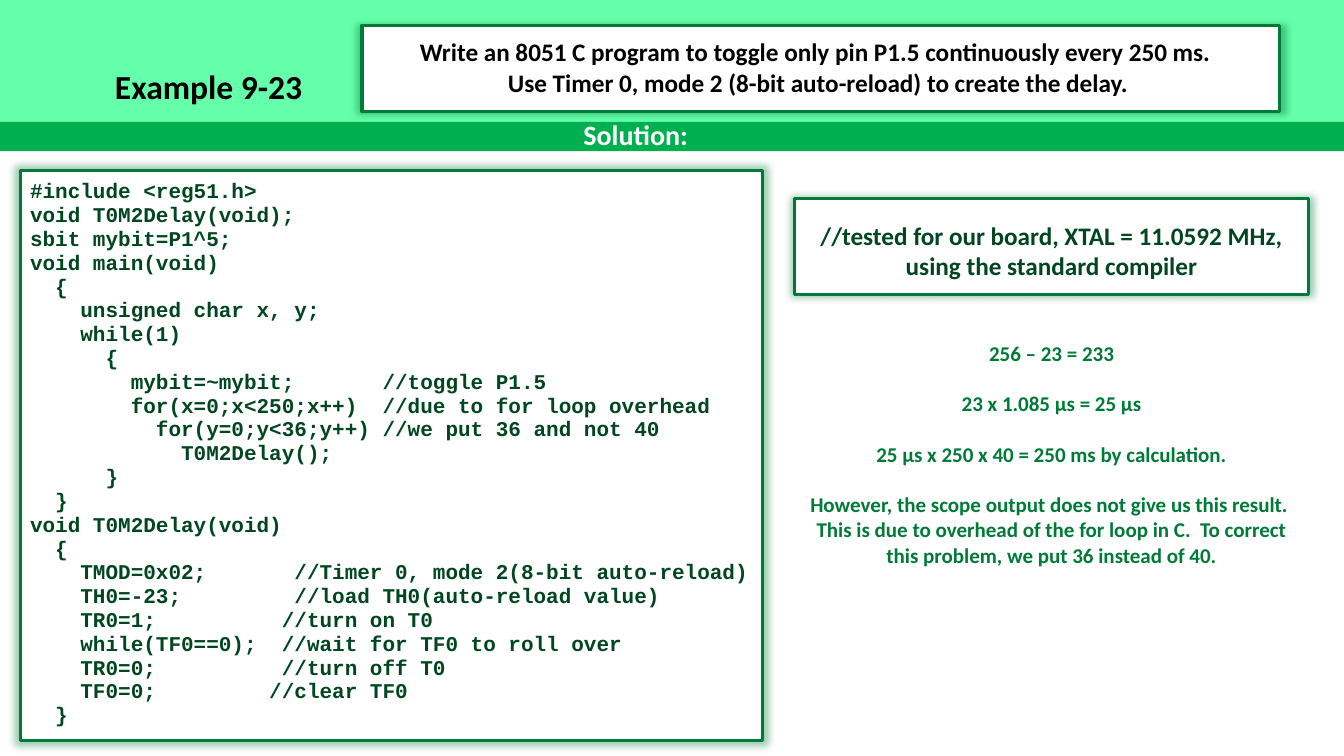
from lxml.etree import SubElement
from pptx import Presentation
from pptx.dml.color import RGBColor
from pptx.enum.shapes import MSO_SHAPE as Shape
from pptx.enum.text import MSO_ANCHOR as Anchor, PP_ALIGN as Align
from pptx.oxml.ns import qn
from pptx.util import Inches, Pt

MINT = RGBColor(0x65, 0xFF, 0xAB)
GREEN = RGBColor(0x00, 0xB0, 0x50)
FOREST = RGBColor(0x00, 0x7A, 0x37)
DARK = RGBColor(0x00, 0x46, 0x20)
BLACK = RGBColor(0, 0, 0)
WHITE = RGBColor(0xFF, 0xFF, 0xFF)

TASK = ("Write an 8051 C program to toggle only pin P1.5 continuously every 250 ms.  "
        "Use Timer 0, mode 2 (8-bit auto-reload) to create the delay.")
TESTED = "//tested for our board, XTAL = 11.0592 MHz, using the standard compiler"
CALCULATION = [
    "256 – 23 = 233",
    "23 x 1.085 µs = 25 µs",
    "25 µs x 250 x 40 = 250 ms by calculation.",
    "However, the scope output does not give us this result.  This is due to overhead "
    "of the for loop in C.  To correct this problem, we put 36 instead of 40.",
]
CODE = """\
#include <reg51.h>
void T0M2Delay(void);
sbit mybit=P1^5;
void main(void)
  {
    unsigned char x, y;
    while(1)
      {
        mybit=~mybit;       //toggle P1.5
        for(x=0;x<250;x++)  //due to for loop overhead
          for(y=0;y<36;y++) //we put 36 and not 40
            T0M2Delay();
      }
  }
void T0M2Delay(void)
  {
    TMOD=0x02;       //Timer 0, mode 2(8-bit auto-reload)
    TH0=-23;         //load TH0(auto-reload value)
    TR0=1;          //turn on T0
    while(TF0==0);  //wait for TF0 to roll over
    TR0=0;          //turn off T0
    TF0=0;         //clear TF0
  }"""


def write(holder, lines, size, color, font="Calibri", align=Align.CENTER,
          anchor=Anchor.MIDDLE, margins=(0.1, 0.05, 0.1, 0.05), spacing=None, gap=0):
    frame = holder.text_frame
    left, top, right, bottom = map(Inches, margins)
    layout = {"word_wrap": True, "vertical_anchor": anchor, "margin_left": left,
              "margin_top": top, "margin_right": right, "margin_bottom": bottom}
    for name, value in layout.items():
        setattr(frame, name, value)
    for index, line in enumerate(lines):
        paragraph = frame.add_paragraph() if index else frame.paragraphs[0]
        paragraph.text = line
        paragraph.alignment = align
        paragraph.space_before = Pt(gap if index else 0)
        if spacing:
            paragraph.line_spacing = Pt(spacing)
        for name, value in {"name": font, "size": Pt(size), "bold": True}.items():
            setattr(paragraph.font, name, value)
        paragraph.font.color.rgb = color


def add_band(slide, box, fill):
    band = slide.shapes.add_shape(Shape.RECTANGLE, *map(Inches, box))
    band.shadow.inherit = False
    band.fill.solid()
    band.fill.fore_color.rgb = fill
    band.line.fill.background()
    return band


def add_panel(slide, box):
    """White panel with a green outline and a soft green glow."""
    panel = add_band(slide, box, WHITE)
    panel.line.color.rgb = FOREST
    panel.line.width = Pt(2.25)
    effects = panel._element.spPr.find(qn("a:effectLst"))
    shadow = SubElement(effects, qn("a:outerShdw"), blurRad=str(Pt(5)), dist="0",
                        dir="0", sx="101000", sy="101000", algn="ctr", rotWithShape="0")
    tint = SubElement(shadow, qn("a:srgbClr"), val=str(FOREST))
    SubElement(tint, qn("a:alpha"), val="40000")
    return panel


def add_header(slide, box):
    left, top, width, height = box
    bar_height = 0.29
    bar_top = top + height - bar_height
    add_band(slide, (left, top, width, bar_top - top), MINT)
    bar = add_band(slide, (left, bar_top, width, bar_height), GREEN)
    write(bar, ["Solution:"], 20, WHITE, margins=(0, 0, 0.72, 0), spacing=20)

    # Title, lifted above the bands
    title = slide.shapes.title
    place = {"left": left + 1.04, "top": top + 0.6, "width": 11.26, "height": 0.5}
    for name, value in place.items():
        setattr(title, name, Inches(value))
    write(title, ["Example 9-23"], 24, BLACK, align=Align.LEFT)
    slide.shapes._spTree.append(title._element)

    # Task statement
    task = add_panel(slide, (left + 3.59, top + 0.25, 9.1, 0.86))
    write(task, [TASK], 18, BLACK, margins=(0.44, 0.04, 0.49, 0.07))


def add_code(slide, box):
    write(add_panel(slide, box), CODE.splitlines(), 15, DARK, font="Courier New",
          align=Align.LEFT, margins=(0.1, 0.04, 0.1, 0.09), spacing=17)


def add_notes_column(slide, box):
    left, top, width, height = box
    tested = add_panel(slide, (left, top, width, 0.95))
    write(tested, [TESTED], 18, DARK, margins=(0.1, 0.12, 0.1, 0.05))

    # Delay calculation
    offset = 1.36
    calculation = slide.shapes.add_textbox(
        *map(Inches, (left, top + offset, width, height - offset)))
    write(calculation, CALCULATION, 15, FOREST, anchor=Anchor.TOP, gap=18)


def main():
    deck = Presentation()
    deck.slide_width, deck.slide_height = Inches(13.33), Inches(7.5)
    slide = deck.slides.add_slide(deck.slide_layouts[5])
    add_header(slide, (0, 0, 13.33, 1.5))
    add_code(slide, (0.2, 1.69, 7.36, 5.66))
    add_notes_column(slide, (7.88, 1.97, 5.1, 3.73))
    deck.save("out.pptx")


if __name__ == "__main__":
    main()
